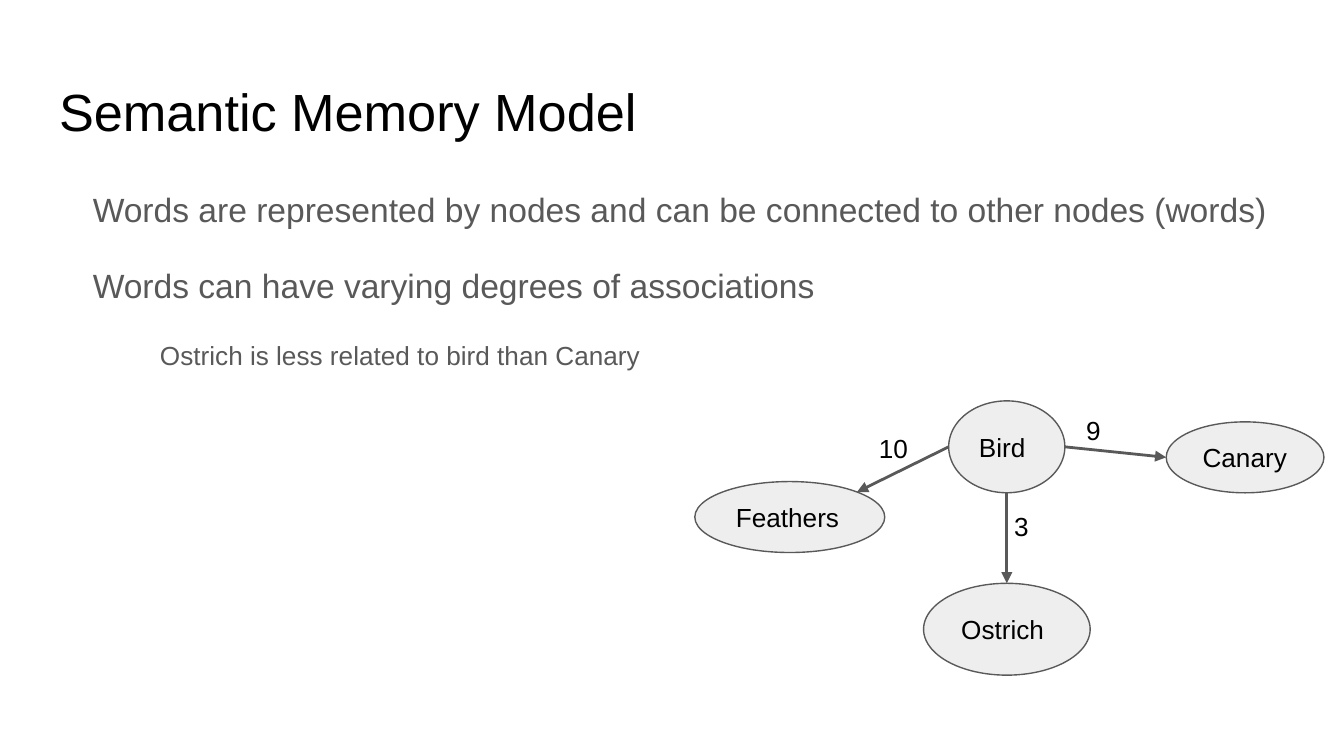
from lxml import etree
from pptx import Presentation
from pptx import util as u
from pptx.dml.color import RGBColor
from pptx.enum import shapes, text
from pptx.oxml.ns import qn

BLACK, GREY, PALE = "000000", "595959", "EEEEEE"


def rgb(hex_code):
    return RGBColor.from_string(hex_code)


def place(sp, left, top, width, height):
    sp.left, sp.top = u.Pt(left), u.Pt(top)
    sp.width, sp.height = u.Pt(width), u.Pt(height)


def frame(sp, anchor=text.MSO_ANCHOR.TOP, right=7.2):
    tf = sp.text_frame
    tf.word_wrap = True
    tf.auto_size = text.MSO_AUTO_SIZE.NONE
    tf.vertical_anchor = anchor
    tf.margin_left = tf.margin_top = tf.margin_bottom = u.Pt(7.2)
    tf.margin_right = u.Pt(right)
    return tf


def add_run(p, words, size=14, color=BLACK):
    p.alignment = text.PP_ALIGN.LEFT
    r = p.add_run()
    r.text = words
    r.font.size = u.Pt(size)
    r.font.name = "Arial"
    r.font.color.rgb = rgb(color)


def add_body(sp, lines):
    tf = frame(sp)
    for i, (words, level, size) in enumerate(lines):
        p = tf.add_paragraph() if i else tf.paragraphs[0]
        p.level = level
        p.line_spacing = 1.15
        p.space_before, p.space_after = u.Pt(0), u.Pt(16)
        pPr = p._p.get_or_add_pPr()
        pPr.set("marL", str(u.Pt(36 * (level + 1))))
        pPr.set("indent", str(u.Pt(-18)))
        etree.SubElement(pPr, qn("a:buNone"))
        add_run(p, words, size, GREY)


def add_node(s, word, left, top, width, height):
    sp = s.shapes.add_shape(shapes.MSO_SHAPE.OVAL, u.Pt(left), u.Pt(top),
                            u.Pt(width), u.Pt(height))
    sp.shadow.inherit = False
    sp.fill.solid()
    sp.fill.fore_color.rgb = rgb(PALE)
    sp.line.color.rgb = rgb(GREY)
    sp.line.width = u.Pt(0.75)
    # No right inset, so that the longest word stays on one line
    tf = frame(sp, text.MSO_ANCHOR.MIDDLE, right=0)
    add_run(tf.paragraphs[0], word)


def add_arrow(s, x1, y1, x2, y2):
    line = s.shapes.add_connector(shapes.MSO_CONNECTOR.STRAIGHT, u.Pt(x1),
                                  u.Pt(y1), u.Pt(x2), u.Pt(y2))
    line.line.color.rgb = rgb(GREY)
    line.line.width = u.Pt(1.5)
    etree.SubElement(line.line._get_or_add_ln(), qn("a:tailEnd"), type="triangle")
    etree.SubElement(line._element.spPr, qn("a:effectLst"))


def add_weight(s, value, left, top):
    sp = s.shapes.add_textbox(u.Pt(left), u.Pt(top), u.Pt(34.5), u.Pt(29.5))
    add_run(frame(sp).paragraphs[0], value)


def main():
    prs = Presentation()
    prs.slide_width, prs.slide_height = u.Pt(720), u.Pt(405)
    s = prs.slides.add_slide(prs.slide_layouts[1])

    # Title and list
    title, body = s.placeholders
    place(title, 24.5, 35, 671, 45)
    add_run(frame(title).paragraphs[0], "Semantic Memory Model", 28)
    place(body, 24.5, 90.75, 671, 112.5)
    add_body(body, [
        ("Words are represented by nodes and can be connected to other nodes (words)", 0, 18),
        ("Words can have varying degrees of associations", 0, 18),
        ("Ostrich is less related to bird than Canary", 1, 14),
    ])

    # Word nodes
    for node in [("Bird", 508.25, 214.75, 62.25, 49.25),
                 ("Canary", 624.75, 226, 84.5, 38),
                 ("Feathers", 372.25, 258, 101.75, 38),
                 ("Ostrich", 494.75, 312.5, 89.25, 49.25)]:
        add_node(s, *node)

    # Arrows from Bird to the other words
    for ends in [(570.5, 239.4, 624.75, 245),
                 (539.4, 264, 539.4, 312.5),
                 (508.25, 239.4, 459.1, 263.6)]:
        add_arrow(s, *ends)

    # Association strengths
    for weight in [("10", 463.75, 224.5), ("9", 574.75, 214.75), ("3", 536.25, 266.25)]:
        add_weight(s, *weight)

    prs.save("out.pptx")


if __name__ == "__main__":
    main()
